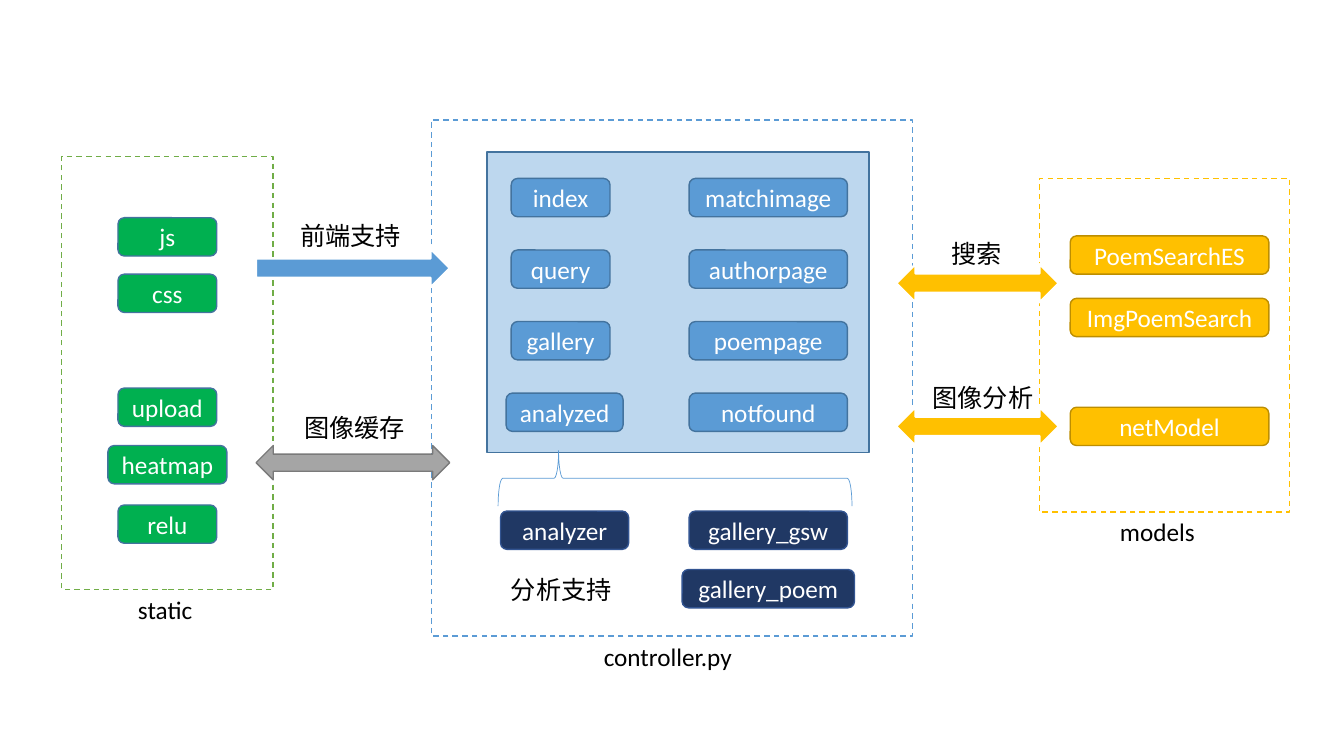
from dataclasses import dataclass
from typing import NamedTuple, Optional

from pptx import Presentation
from pptx.dml.color import RGBColor
from pptx.enum.dml import MSO_LINE
from pptx.enum.shapes import MSO_SHAPE
from pptx.enum.text import MSO_ANCHOR, PP_ALIGN
from pptx.util import Inches, Pt


@dataclass(frozen=True)
class Theme:
    """Colours, font and type size of the slide."""
    font: str = "Calibri"
    size: float = 18
    white: str = "FFFFFF"
    black: str = "000000"
    blue: str = "5B9BD5"
    blue_edge: str = "43739E"
    pale_blue: str = "BDD7EE"
    navy: str = "203864"
    navy_edge: str = "325491"
    green: str = "00B050"
    green_edge: str = "70AD47"
    gold: str = "FFC000"
    gold_edge: str = "BD8E00"
    grey: str = "A5A5A5"
    grey_edge: str = "7A7A7A"


class Box(NamedTuple):
    """Position and size in inches."""
    left: float
    top: float
    width: float
    height: float


class Style(NamedTuple):
    """Fill and outline of a shape."""
    fill: Optional[str]
    line: str
    weight: float = 1
    dashed: bool = False


class Module(NamedTuple):
    """A named module: its centre x, top and width."""
    name: str
    center: float
    top: float
    width: float
    style: Style


class Flow(NamedTuple):
    """A block arrow between two packages."""
    kind: MSO_SHAPE
    box: Box
    style: Style


class Label(NamedTuple):
    """A caption: its left, top and width."""
    text: str
    left: float
    top: float
    width: float


T = Theme()
MODULE_H = 0.38
LABEL_H = 0.4
ROUTE_TOP, ROUTE_STEP = 1.77, 0.71

ROUTE = Style(T.blue, T.blue_edge)
HELPER = Style(T.navy, T.navy_edge)
STATIC = Style(T.green, T.blue_edge)
MODEL = Style(T.gold, T.gold_edge)
GOLD_FLOW = Style(T.gold, T.white, 1.5)

PANELS = [
    (Box(4.83, 1.51, 3.79, 2.98), Style(T.pale_blue, T.blue_edge)),
    (Box(4.28, 1.19, 4.77, 5.12), Style(None, T.blue, dashed=True)),
    (Box(0.61, 1.55, 2.1, 4.3), Style(None, T.green_edge, dashed=True)),
    (Box(10.31, 1.77, 2.48, 3.31), Style(None, T.gold, dashed=True)),
]

ROUTES = [
    ("index", 5.56, 0.98, "matchimage"),
    ("query", 5.56, 0.98, "authorpage"),
    ("gallery", 5.56, 0.98, "poempage"),
    ("analyzed", 5.6, 1.16, "notfound"),
]

MODULES = [
    Module("analyzer", 5.6, 5.07, 1.27, HELPER),
    Module("gallery_gsw", 7.62, 5.07, 1.57, HELPER),
    Module("gallery_poem", 7.62, 5.65, 1.71, HELPER),
    Module("js", 1.66, 2.16, 0.98, STATIC),
    Module("css", 1.66, 2.72, 0.98, STATIC),
    Module("upload", 1.66, 3.85, 0.98, STATIC),
    Module("heatmap", 1.66, 4.42, 1.18, STATIC),
    Module("relu", 1.66, 5.01, 0.98, STATIC),
    Module("PoemSearchES", 11.6, 2.34, 1.97, MODEL),
    Module("ImgPoemSearch", 11.6, 2.96, 1.97, MODEL),
    Module("netModel", 11.6, 4.04, 1.97, MODEL),
]

FLOWS = [
    Flow(MSO_SHAPE.LEFT_RIGHT_ARROW, Box(2.54, 4.42, 1.92, 0.34), Style(T.grey, T.grey_edge)),
    Flow(MSO_SHAPE.RIGHT_ARROW, Box(2.54, 2.47, 1.92, 0.38), Style(T.blue, T.white, 1.5)),
    Flow(MSO_SHAPE.LEFT_RIGHT_ARROW, Box(8.89, 2.62, 1.61, 0.38), GOLD_FLOW),
    Flow(MSO_SHAPE.LEFT_RIGHT_ARROW, Box(8.89, 4.04, 1.61, 0.38), GOLD_FLOW),
]

LABELS = [
    Label("分析支持", 4.97, 5.65, 1.37),
    Label("图像缓存", 2.92, 4.04, 1.28),
    Label("前端支持", 2.88, 2.14, 1.29),
    Label("搜索", 9.34, 2.32, 0.72),
    Label("图像分析", 9.15, 3.74, 1.25),
    Label("controller.py", 5.89, 6.31, 1.56),
    Label("static", 1.27, 5.85, 0.79),
    Label("models", 11.01, 5.07, 1.01),
]


def write(sp, text: str, color: str, align: PP_ALIGN) -> None:
    """Put one formatted line of text in a shape."""
    tf = sp.text_frame
    tf.text = text
    tf.word_wrap = True
    p = tf.paragraphs[0]
    p.alignment = align
    font = p.runs[0].font
    font.name, font.size = T.font, Pt(T.size)
    font.color.rgb = RGBColor.from_string(color)


def add_shape(s, kind: MSO_SHAPE, box: Box, style: Style):
    """Draw a preset shape with its fill and outline."""
    sp = s.shapes.add_shape(kind, *map(Inches, box))
    sp.shadow.inherit = False
    if style.fill:
        sp.fill.solid()
        sp.fill.fore_color.rgb = RGBColor.from_string(style.fill)
    else:
        sp.fill.background()
    sp.line.color.rgb = RGBColor.from_string(style.line)
    sp.line.width = Pt(style.weight)
    if style.dashed:
        sp.line.dash_style = MSO_LINE.DASH
    return sp


def add_module(s, m: Module) -> None:
    """Draw a rounded module box with its name."""
    box = Box(m.center - m.width / 2, m.top, m.width, MODULE_H)
    sp = add_shape(s, MSO_SHAPE.ROUNDED_RECTANGLE, box, m.style)
    write(sp, m.name, T.white, PP_ALIGN.CENTER)
    sp.text_frame.vertical_anchor = MSO_ANCHOR.MIDDLE


def add_brace(s) -> None:
    """Draw the brace that joins the helpers to the routes."""
    sp = add_shape(s, MSO_SHAPE.RIGHT_BRACE, Box(6.42, 2.99, 0.55, 3.51), Style(None, T.blue, 0.5))
    sp.rotation = 270
    sp.adjustments[0], sp.adjustments[1] = 0.083, 0.171


def add_label(s, label: Label) -> None:
    """Add a black caption."""
    sp = s.shapes.add_textbox(*map(Inches, (label.left, label.top, label.width, LABEL_H)))
    write(sp, label.text, T.black, PP_ALIGN.LEFT)


def main() -> None:
    """Build and save the slide."""
    prs = Presentation()
    prs.slide_width, prs.slide_height = Inches(13.33), Inches(7.5)
    s = prs.slides.add_slide(prs.slide_layouts[6])
    for box, style in PANELS:
        add_shape(s, MSO_SHAPE.RECTANGLE, box, style)
    for i, (name, center, width, page) in enumerate(ROUTES):
        top = ROUTE_TOP + i * ROUTE_STEP
        add_module(s, Module(name, center, top, width, ROUTE))
        add_module(s, Module(page, 7.62, top, 1.57, ROUTE))
    for module in MODULES:
        add_module(s, module)
    add_brace(s)
    for flow in FLOWS:
        add_shape(s, *flow)
    for label in LABELS:
        add_label(s, label)
    prs.save("out.pptx")


main()
